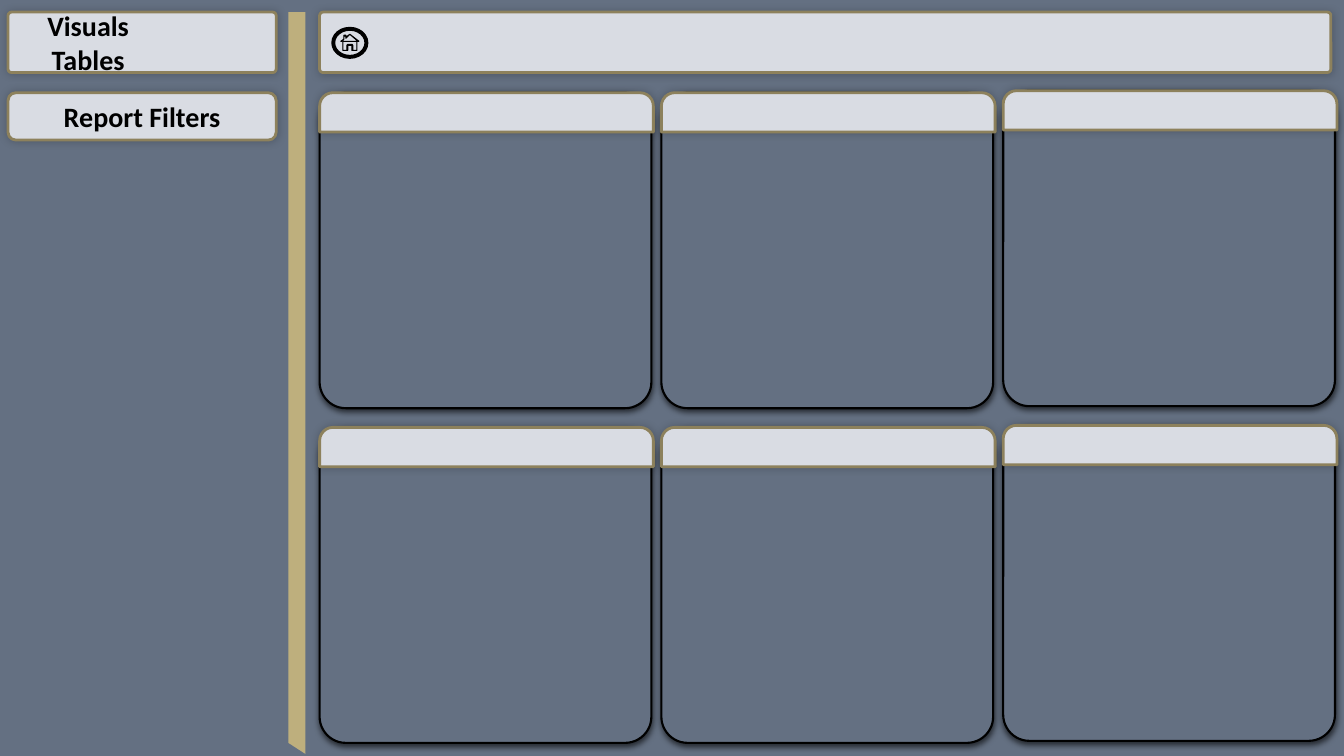
from lxml import etree
from pptx import Presentation
from pptx.dml.color import RGBColor
from pptx.enum.shapes import MSO_SHAPE as SHAPE
from pptx.enum.text import MSO_ANCHOR, PP_ALIGN
from pptx.oxml import parse_xml
from pptx.oxml.ns import nsdecls, qn
from pptx.util import Inches, Pt

COLORS = {"slate": "647082", "mist": "D9DCE3", "gold": "BEAF7D",
          "bronze": "8D815C", "haze": "D5D5D6", "ink": "000000"}
SLIDE_W, SLIDE_H = 13.33, 7.5
SOFT = dict(blur=6, dist=0, angle=225, alpha=20)
DEEP = dict(blur=4.5, dist=1.5, angle=90, alpha=63)
PITCH_X, PITCH_Y = 3.39, 3.32
UNIT = Inches(0.01)
HOUSE = [(16, 16), (11, 16), (11, 11), (7, 11), (7, 16), (2, 16), (2, 7), (17, 7),
         (9, 0), (5, 4), (5, 2), (3, 2), (3, 5), (1, 7), (0, 7), (3, 5), (3, 1),
         (5, 1), (5, 3), (9, 0), (18, 7), (2, 7), (2, 16), (6, 16), (6, 11),
         (7, 10), (11, 10), (12, 11), (12, 16), (16, 16), (16, 8)]


def rgb(name):
    """Return the named colour."""
    return RGBColor.from_string(COLORS[name])


def paint(s, fill, line=None, width=1.0, shadow=None):
    """Give a shape its fill, outline and optional shadow."""
    s.shadow.inherit = False
    s.fill.solid()
    s.fill.fore_color.rgb = rgb(fill)
    if line:
        s.line.color.rgb = rgb(line)
        s.line.width = Pt(width)
    else:
        s.line.fill.background()
    if shadow:
        effects = s._element.spPr.find(qn("a:effectLst"))
        effects.append(parse_xml(
            f'<a:outerShdw {nsdecls("a")} blurRad="{Pt(shadow["blur"])}" '
            f'dist="{Pt(shadow["dist"])}" dir="{shadow["angle"] * 60000}" '
            f'algn="ctr" rotWithShape="0"><a:srgbClr val="{COLORS["ink"]}">'
            f'<a:alpha val="{shadow["alpha"] * 1000}"/></a:srgbClr></a:outerShdw>'))


def add_box(shapes, kind, box, fill, adj=(), **style):
    """Add a preset shape in the given box."""
    s = shapes.add_shape(kind, *map(Inches, box))
    for i, value in enumerate(adj):
        s.adjustments[i] = value
    paint(s, fill, **style)
    return s


def add_outline(shapes, points, fill, left=0, top=0, **style):
    """Add a closed outline whose points are in hundredths of an inch."""
    builder = shapes.build_freeform(*points[0], scale=UNIT)
    builder.add_line_segments(points[1:], close=True)
    s = builder.convert_to_shape(Inches(left), Inches(top))
    paint(s, fill, **style)
    return s


def write(s, lines, size=20, color="ink", bold=True, font="Calibri"):
    """Write centred lines, each a text with its right indent in inches."""
    tf = s.text_frame
    tf.word_wrap = True
    tf.vertical_anchor = MSO_ANCHOR.MIDDLE
    for i, (text, indent) in enumerate(lines):
        p = tf.add_paragraph() if i else tf.paragraphs[0]
        p.alignment = PP_ALIGN.CENTER
        if indent:
            p._p.get_or_add_pPr().set("marR", str(Inches(indent)))
        r = p.add_run()
        r.text = text
        r.font.name, r.font.size, r.font.bold = font, Pt(size), bold
        r.font.color.rgb = rgb(color)


def add_glow(shapes, box):
    """Add the band that fades down from the top edge."""
    s = add_box(shapes, SHAPE.RECTANGLE, box, "haze")
    s.rotation = 180
    s.fill.gradient()
    s.fill.gradient_angle = 90
    stops = s._element.spPr.find(qn("a:gradFill")).find(qn("a:gsLst"))
    for stop in list(stops):
        stops.remove(stop)
    for position, alpha in ((0, 42), (58, 10), (93, 0)):
        stop = etree.SubElement(stops, qn("a:gs"), pos=str(position * 1000))
        color = etree.SubElement(stop, qn("a:srgbClr"), val=COLORS["haze"])
        etree.SubElement(color, qn("a:alpha"), val=str(alpha * 1000))


def add_bar(shapes, box, adj=0.058):
    """Add a light rounded bar."""
    return add_box(shapes, SHAPE.ROUNDED_RECTANGLE, box, "mist", [adj],
                   line="bronze", width=2, shadow=SOFT)


def add_title_bar(shapes, box):
    """Add the title bar with its home button."""
    left, top = box[:2]
    add_bar(shapes, box)
    home = shapes.add_group_shape().shapes
    add_box(home, SHAPE.DONUT, (left + 0.13, top + 0.16, 0.34, 0.29), "ink",
            [0.039], line="ink", width=2)
    add_outline(home, HOUSE, "ink", left + 0.21, top + 0.22, line="ink", width=0.75)


def add_sidebar(shapes, box):
    """Add the page switch, the filter heading and the divider."""
    left, top, width, height = box
    write(add_bar(shapes, (left, top, width, 0.6)), [("Visuals", 1.07), ("Tables", 0)])
    write(add_bar(shapes, (left, top + 0.8, width, 0.47), 0.167), [("Report Filters", 0)])
    add_outline(shapes, [(0, 0), (17, 0), (17, 736), (0, 725)], "gold",
                left + width + 0.12, top)


def add_panel(shapes, box):
    """Add a chart panel with its header."""
    left, top, width, height = box
    add_box(shapes, SHAPE.ROUNDED_RECTANGLE, box, "slate", [0.083],
            line="ink", width=1.5, shadow=DEEP)
    add_box(shapes, SHAPE.ROUND_2_SAME_RECTANGLE, (left, top, width + 0.02, 0.39),
            "mist", [0.337, 0], line="bronze", width=2, shadow=SOFT)


def add_panels(shapes, left, top, rows=2, columns=3):
    """Add the grid of panels, the last column slightly raised."""
    for row in range(rows):
        for column in range(columns):
            lift = 0.02 if column == columns - 1 else 0
            add_panel(shapes, (left + column * PITCH_X, top + row * PITCH_Y - lift,
                               3.29, 3.13))


def main():
    """Build and save the dashboard slide."""
    prs = Presentation()
    prs.slide_width, prs.slide_height = Inches(SLIDE_W), Inches(SLIDE_H)
    slide = prs.slides.add_slide(prs.slide_layouts[6])
    slide.background.fill.solid()
    slide.background.fill.fore_color.rgb = rgb("slate")
    add_glow(slide.shapes, (-0.04, 0, SLIDE_W + 0.08, 1.48))
    add_title_bar(slide.shapes, (3.17, 0.12, 10.03, 0.6))
    add_sidebar(slide.shapes, (0.08, 0.12, 2.66, 7.36))
    add_panels(slide.shapes, 3.17, 0.92)
    prs.save("out.pptx")


if __name__ == "__main__":
    main()
